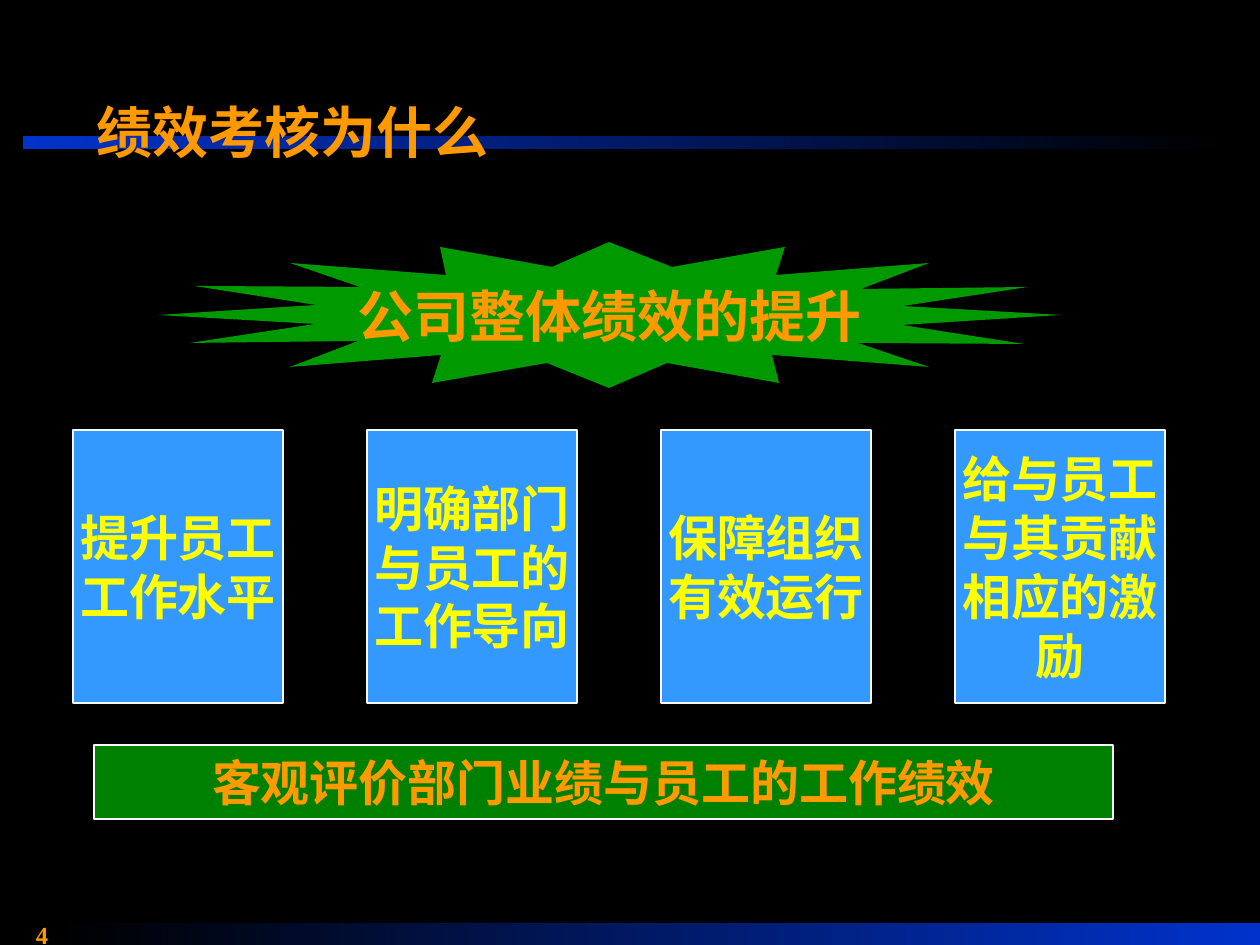
from lxml import etree
from pptx import Presentation
from pptx.dml.color import RGBColor
from pptx.enum.shapes import MSO_SHAPE
from pptx.enum.text import MSO_ANCHOR, PP_ALIGN
from pptx.oxml.ns import qn
from pptx.util import Pt

RECT = MSO_SHAPE.RECTANGLE
MID, TOP = MSO_ANCHOR.MIDDLE, MSO_ANCHOR.TOP
LEFT, CENTER = PP_ALIGN.LEFT, PP_ALIGN.CENTER
PX = 914400 / 126  # EMU in one pixel
SANS, SERIF = "Noto Sans CJK SC", "Times New Roman"
HUES = {k: RGBColor.from_string(v) for k, v in {
    "black": "000000", "blue": "0033CC", "sky": "3399FF",
    "leaf": "009900", "green": "008000", "white": "F8F8F8",
    "orange": "FF9900", "yellow": "FFFF00"}.items()}


def px(*nums):
    return [round(n * PX) for n in nums]


def write(shape, text, size=28, font=SANS, hue="orange", align=CENTER,
          anchor=MID, wrap=False):
    frame = shape.text_frame
    frame.text = text
    frame.word_wrap = wrap
    frame.vertical_anchor = anchor
    for para in frame.paragraphs:
        para.alignment = align
        for run in para.runs:
            face = run.font
            face.name, face.size, face.bold = font, Pt(size), True
            face.color.rgb = HUES[hue]
            # East Asian glyphs
            etree.SubElement(run._r.get_or_add_rPr(), qn("a:ea"), typeface=SANS)


deck = Presentation()
deck.slide_width, deck.slide_height = px(1260, 945)
slide = deck.slides.add_slide(deck.slide_layouts[6])
slide.background.fill.solid()
slide.background.fill.fore_color.rgb = HUES["black"]
shapes = slide.shapes

# Fading bars under the title and at the foot
for box, ends in [((56, 923, 1204, 22), ("black", "blue")),
                  ((23, 136, 1204, 13), ("blue", "black"))]:
    bar = shapes.add_shape(RECT, *px(*box))
    bar.shadow.inherit = False
    bar.line.fill.background()
    bar.fill.gradient()
    bar.fill.gradient_angle = 0
    for stop, hue, spot in zip(bar.fill.gradient_stops, ends, (0, 1)):
        stop.color.rgb = HUES[hue]
        stop.position = spot

# Starburst with the overall goal
BURST = [
    (158, 315), (315, 324), (190, 343), (358, 341), (290, 367), (441, 355),
    (432, 383), (547, 363), (609, 388), (667, 363), (779, 383), (772, 355),
    (929, 367), (858, 343), (1024, 344), (902, 325), (1061, 315), (903, 306),
    (1028, 287), (861, 289), (929, 263), (776, 275), (785, 247), (672, 267),
    (609, 242), (552, 267), (440, 247), (446, 275), (290, 263), (360, 287),
    (194, 286), (316, 305)]
pen = shapes.build_freeform(*BURST[0], scale=PX)
pen.add_line_segments(BURST[1:], close=True)
burst = pen.convert_to_shape()
burst.shadow.inherit = False
burst.fill.solid()
burst.fill.fore_color.rgb = HUES["leaf"]
burst.line.fill.background()
write(burst, "公司整体绩效的提升", size=32, font=SERIF)

# Title
title = shapes.add_textbox(*px(84, 53, 1071, 157))
write(title, "绩效考核为什么", size=32, font=SERIF, align=LEFT, wrap=True)

# Base panel and the four aims
aims = ["提升员工\n工作水平", "明确部门\n与员工的\n工作导向",
        "保障组织\n有效运行", "给与员工\n与其贡献\n相应的激\n励"]
panels = [((94, 745, 1019, 74), "green", "orange",
           "客观评价部门业绩与员工的工作绩效")]
panels += [((73 + 294 * i, 430, 210, 273), "sky", "yellow", aim)
           for i, aim in enumerate(aims)]
for box, fill, hue, text in panels:
    panel = shapes.add_shape(RECT, *px(*box))
    panel.shadow.inherit = False
    panel.fill.solid()
    panel.fill.fore_color.rgb = HUES[fill]
    panel.line.color.rgb = HUES["white"]
    panel.line.width = Pt(0.75)
    write(panel, text, hue=hue)

# Page number
page = shapes.add_textbox(*px(0, 914, 84, 31))
write(page, "4", size=14, font=SERIF, anchor=TOP, wrap=True)

deck.save("out.pptx")
